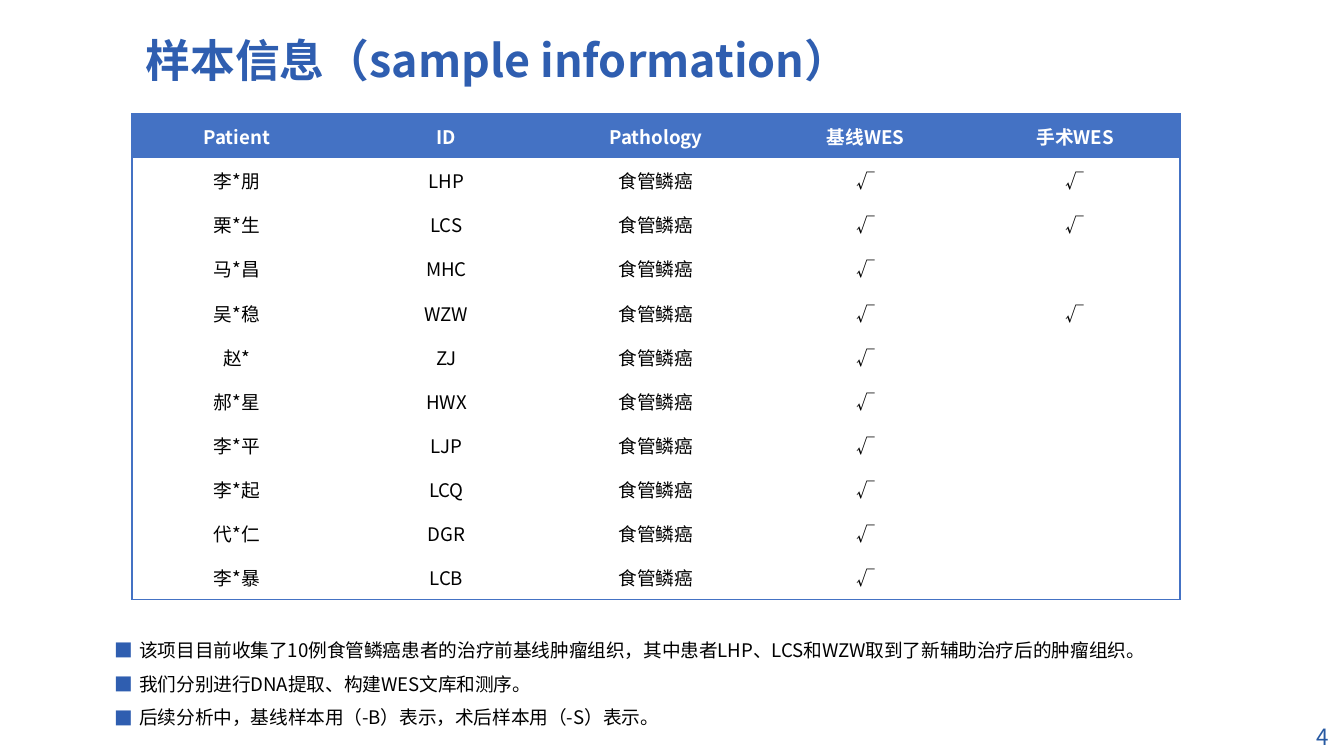
"""Build the sample information slide with its patient table and notes."""
from dataclasses import dataclass

from pptx import Presentation
from pptx.dml.color import RGBColor
from pptx.enum.text import MSO_ANCHOR, MSO_AUTO_SIZE, PP_ALIGN
from pptx.oxml.xmlchemy import OxmlElement
from pptx.util import Emu, Pt

LEFT, CENTER, RIGHT = PP_ALIGN.LEFT, PP_ALIGN.CENTER, PP_ALIGN.RIGHT
MIDDLE = MSO_ANCHOR.MIDDLE
NO_AUTOFIT = MSO_AUTO_SIZE.NONE

FONT = "Noto Sans CJK SC"
TITLE_BLUE = RGBColor(0x2F, 0x5E, 0xB0)
TABLE_BLUE = RGBColor(0x44, 0x72, 0xC4)
NUMBER_BLUE = RGBColor(0x27, 0x59, 0xA2)
WHITE = RGBColor(0xFF, 0xFF, 0xFF)
BLACK = RGBColor(0, 0, 0)
NO_STYLE = "{2D5ABB26-0587-4C30-8999-92F81FD0307C}"
EMU_PER_PX = 914400 / 134.4


@dataclass(frozen=True)
class Box:
    x: int
    y: int
    w: int
    h: int

    def emu(self) -> list[Emu]:
        return [px(v) for v in (self.x, self.y, self.w, self.h)]


@dataclass(frozen=True)
class Patient:
    name: str
    code: str
    surgery: bool = False

    def cells(self) -> list[str]:
        return [self.name, self.code, "食管鳞癌", "√", "√" if self.surgery else ""]


SLIDE = Box(0, 0, 1344, 756)
TITLE = Box(132, 23, 953, 79)
TABLE = Box(132, 114, 1048, 486)
NOTES = Box(101, 621, 1158, 116)
NUMBER = Box(1220, 718, 122, 38)
HEADERS = ["Patient", "ID", "Pathology", "基线WES", "手术WES"]
PATIENTS = [
    Patient("李*朋", "LHP", True),
    Patient("栗*生", "LCS", True),
    Patient("马*昌", "MHC"),
    Patient("吴*稳", "WZW", True),
    Patient("赵*", "ZJ"),
    Patient("郝*星", "HWX"),
    Patient("李*平", "LJP"),
    Patient("李*起", "LCQ"),
    Patient("代*仁", "DGR"),
    Patient("李*暴", "LCB"),
]
NOTE_LINES = [
    "该项目目前收集了10例食管鳞癌患者的治疗前基线肿瘤组织，其中患者LHP、LCS和WZW取到了新辅助治疗后的肿瘤组织。",
    "我们分别进行DNA提取、构建WES文库和测序。",
    "后续分析中，基线样本用（-B）表示，术后样本用（-S）表示。",
]


def px(value: float) -> Emu:
    return Emu(round(value * EMU_PER_PX))


def element(parent, tag: str, **attrs: str):
    child = OxmlElement(tag)
    for key, value in attrs.items():
        child.set(key, value)
    parent.append(child)
    return child


def format_text(tf, size: int, color: RGBColor, align=LEFT, bold: bool = False) -> None:
    for p in tf.paragraphs:
        p.alignment = align
        for r in p.runs:
            r.font.size, r.font.bold, r.font.name = Pt(size), bold, FONT
            r.font.color.rgb = color
            element(r.font._element, "a:ea", typeface=FONT)
        if not p.runs:
            element(p._p, "a:endParaRPr", sz=str(size * 100))


def add_border(cell, sides: str) -> None:
    tcPr = cell._tc.get_or_add_tcPr()
    for i, side in enumerate(sides):
        ln = element(tcPr, f"a:ln{side}", w=str(Pt(0.9)))
        fill = element(ln, "a:solidFill")
        element(fill, "a:srgbClr", val=str(TABLE_BLUE))
        tcPr.insert(i, ln)


def add_title(slide, text: str) -> None:
    sp = slide.shapes.title
    sp.left, sp.top, sp.width, sp.height = TITLE.emu()
    tf = sp.text_frame
    tf.text = text
    tf.auto_size, tf.vertical_anchor = NO_AUTOFIT, MIDDLE
    tf.paragraphs[0].line_spacing = 0.9
    format_text(tf, 24, TITLE_BLUE, bold=True)


def add_patient_table(slide) -> None:
    rows = [HEADERS] + [patient.cells() for patient in PATIENTS]
    last_row, last_col = len(rows) - 1, len(HEADERS) - 1
    frame = slide.shapes.add_table(len(rows), len(HEADERS), *TABLE.emu())
    table = frame.table
    table.horz_banding = False
    table._tbl.tblPr[0].text = NO_STYLE
    for col in table.columns:
        col.width = px(TABLE.w / len(HEADERS))
    for i, values in enumerate(rows):
        table.rows[i].height = px(TABLE.h / len(rows))
        for j, value in enumerate(values):
            cell = table.cell(i, j)
            cell.text = value
            cell.vertical_anchor = MIDDLE
            cell.margin_left = cell.margin_right = cell.margin_top = px(1)
            cell.margin_bottom = 0
            header = i == 0
            if header:
                cell.fill.solid()
                cell.fill.fore_color.rgb = TABLE_BLUE
            else:
                cell.fill.background()
            format_text(cell.text_frame, 10, WHITE if header else BLACK, CENTER, header)
            edges = {"L": j == 0, "R": j == last_col, "T": header, "B": i == last_row}
            add_border(cell, "".join(side for side, on in edges.items() if on))


def add_textbox(slide, box: Box, lines: list[str]):
    tf = slide.shapes.add_textbox(*box.emu()).text_frame
    tf.word_wrap = True
    tf.text = "\n".join(lines)
    return tf


def add_notes(slide) -> None:
    tf = add_textbox(slide, NOTES, NOTE_LINES)
    format_text(tf, 10, BLACK)
    indent = px(25)
    for p in tf.paragraphs:
        p.line_spacing = 1.5
        pPr = p._p.get_or_add_pPr()
        pPr.set("marL", str(indent))
        pPr.set("indent", str(-indent))
        color = element(pPr, "a:buClr")
        element(color, "a:srgbClr", val=str(TITLE_BLUE))
        element(pPr, "a:buFont", typeface=FONT)
        element(pPr, "a:buChar", char="■")


def add_page_number(slide, number: int) -> None:
    tf = add_textbox(slide, NUMBER, [str(number)])
    tf.vertical_anchor = MIDDLE
    format_text(tf, 12, NUMBER_BLUE, RIGHT)


def main() -> None:
    prs = Presentation()
    prs.slide_width, prs.slide_height = px(SLIDE.w), px(SLIDE.h)
    slide = prs.slides.add_slide(prs.slide_layouts.get_by_name("Title Only"))
    add_page_number(slide, 4)
    add_title(slide, "样本信息（sample information）")
    add_patient_table(slide)
    add_notes(slide)
    prs.save("out.pptx")


main()
